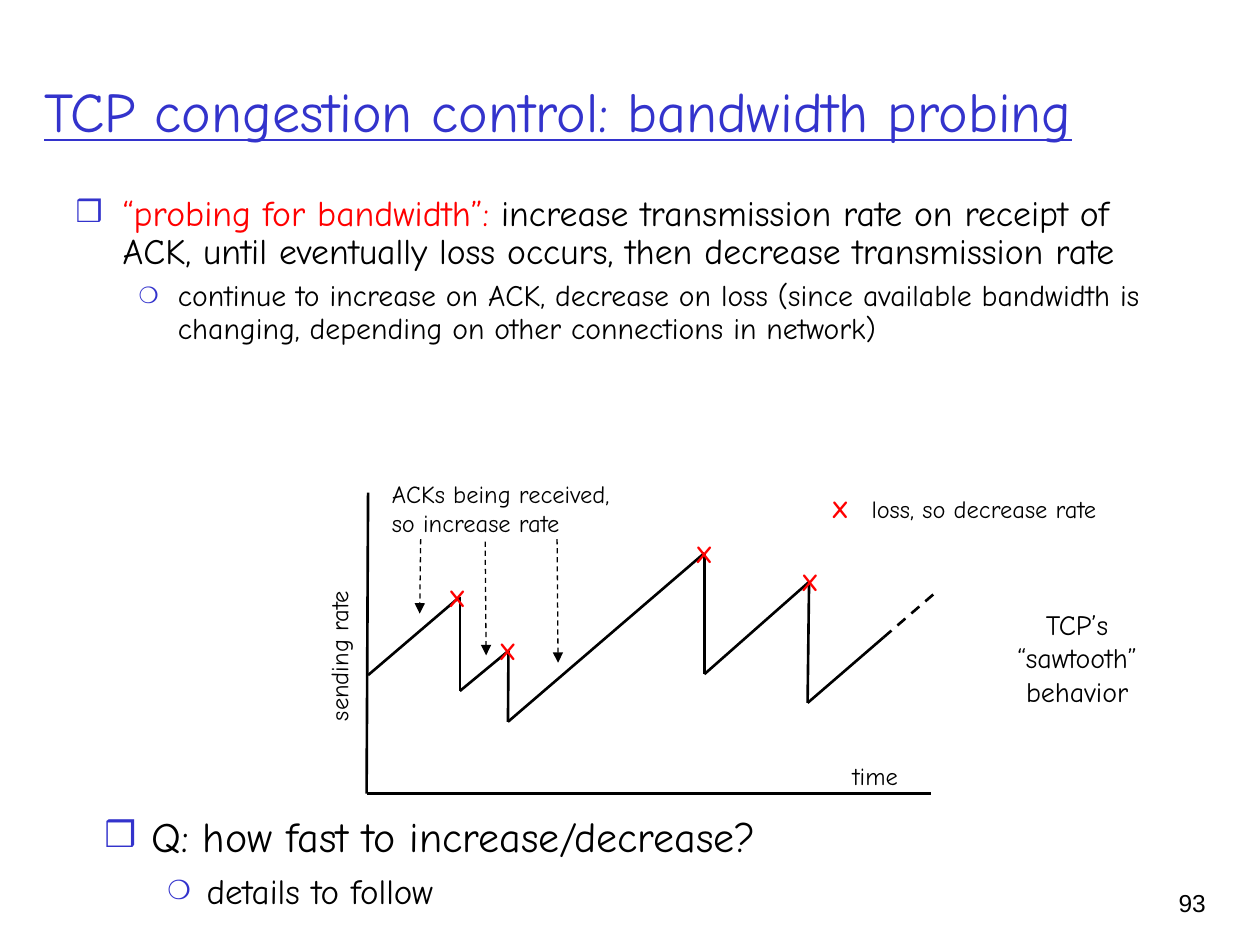
"""Build the slide on TCP bandwidth probing with its sawtooth diagram."""
from dataclasses import dataclass
from itertools import pairwise

from lxml import etree
from pptx import Presentation
from pptx import util as u
from pptx.dml.color import RGBColor
from pptx.enum import dml, shapes, text
from pptx.oxml import ns

COLORS = {"blue": "3333CC", "red": "FF0000", "black": "000000"}
FONT = "Comic Neue"
Point = tuple[float, float]


@dataclass(frozen=True)
class Span:
    words: str
    color: str = "black"


@dataclass(frozen=True)
class Level:
    bullet: str
    percent: int
    margin: float
    hanging: float
    space_before: float


@dataclass(frozen=True)
class Item:
    level: int
    size: float
    spans: tuple[Span, ...]


@dataclass(frozen=True)
class Label:
    lines: tuple[str, ...]
    left: float
    top: float
    width: float
    height: float
    size: float = 14
    color: str = "black"
    bold: bool = False
    align: text.PP_ALIGN = text.PP_ALIGN.LEFT
    rotation: float = 0
    font: str = FONT


LEVELS = (Level("❒", 85, 0.95, 0.95, 6), Level("❍", 75, 2.06, 0.79, 5))

PROBING = (
    Item(0, 20.4, (
        Span("“probing for bandwidth”: ", "red"),
        Span("increase transmission rate on receipt of ACK, until eventually "
             "loss occurs, then decrease transmission rate"),
    )),
    Item(1, 17, (
        Span("continue to increase on ACK, decrease on loss (since available "
             "bandwidth is changing, depending on other connections in network)"),
    )),
)
QUESTION = (
    Item(0, 24, (Span("Q: how fast to increase/decrease?"),)),
    Item(1, 20, (Span("details to follow"),)),
)

AXES = ((7.42, 9.93), (7.39, 16), (18.77, 16))
SAWTOOTH = (
    (7.42, 13.61), (9.27, 12.03), (9.27, 13.93), (10.25, 13.12), (10.24, 14.55),
    (14.2, 11.15), (14.2, 13.59), (16.31, 11.73), (16.28, 14.17), (17.81, 12.85),
)
FUTURE = (SAWTOOTH[-1], (18.9, 11.91))
ACK_ARROWS = (
    ((8.48, 10.87), (8.46, 12.37)),
    ((9.78, 10.92), (9.8, 13.21)),
    ((11.23, 10.87), (11.25, 13.36)),
)
LOSSES = ((9.22, 12.06), (10.24, 13.13), (14.2, 11.18), (16.33, 11.73), (16.94, 10.26))
MARK = 0.86

LABELS = (
    Label(("ACKs being received,", "so increase rate"), 7.65, 9.53, 5.08, 1.45),
    Label(("loss, so decrease rate",), 17.32, 9.83, 5.08, MARK),
    Label(("sending rate",), 5.26, 12.78, 3.15, MARK, rotation=270),
    Label(("time",), 16.94, 15.21, 1.42, MARK),
    Label(("TCP’s", "“sawtooth”", "behavior"), 20.24, 12.12, 2.95, 2.29,
          size=16, align=text.PP_ALIGN.CENTER),
    Label(("93",), 22.68, 17.78, 1.88, 1.27, align=text.PP_ALIGN.RIGHT, font="Arial"),
)


def add_span(para, words: str, size: float, color: str, font: str = FONT):
    """Append one formatted run to a paragraph."""
    span = para.add_run()
    span.text = words
    span.font.size = u.Pt(size)
    span.font.name = font
    span.font.color.rgb = RGBColor.from_string(COLORS[color])
    return span


def place(box, left: float, top: float, width: float, height: float) -> None:
    """Move and size a shape, in centimetres."""
    box.left, box.top = u.Cm(left), u.Cm(top)
    box.width, box.height = u.Cm(width), u.Cm(height)


def next_paragraph(frame, index: int):
    """Return the first paragraph, or a new one after it."""
    return frame.add_paragraph() if index else frame.paragraphs[0]


def set_bullet(para, level: Level) -> None:
    """Give a paragraph its bullet and hanging indent."""
    properties = para._p.get_or_add_pPr()
    properties.set("marL", str(u.Cm(level.margin)))
    properties.set("indent", str(-u.Cm(level.hanging)))
    color = etree.SubElement(properties, ns.qn("a:buClr"))
    etree.SubElement(color, ns.qn("a:srgbClr"), val=COLORS["blue"])
    etree.SubElement(properties, ns.qn("a:buSzPct"), val=str(level.percent * 1000))
    etree.SubElement(properties, ns.qn("a:buChar"), char=level.bullet)


def fill_list(box, items: tuple[Item, ...], line_spacing: float) -> None:
    """Write bulleted items into a body placeholder."""
    frame = box.text_frame
    frame.auto_size = text.MSO_AUTO_SIZE.NONE
    frame.vertical_anchor = text.MSO_ANCHOR.TOP
    for index, item in enumerate(items):
        level = LEVELS[item.level]
        para = next_paragraph(frame, index)
        para.level = item.level
        set_bullet(para, level)
        para.line_spacing = line_spacing
        para.space_before = u.Pt(level.space_before if index else 0)
        for span in item.spans:
            add_span(para, span.words, item.size, span.color)


def add_label(page, label: Label) -> None:
    """Add a text box that does not wrap."""
    box = page.shapes.add_textbox(0, 0, 0, 0)
    place(box, label.left, label.top, label.width, label.height)
    box.rotation = label.rotation
    box.text_frame.word_wrap = False
    for index, line in enumerate(label.lines):
        para = next_paragraph(box.text_frame, index)
        para.alignment = label.align
        span = add_span(para, line, label.size, label.color, label.font)
        span.font.bold = label.bold


def add_line(page, start: Point, end: Point, width: float = 1.5,
             dashed: bool = False, arrow: bool = False) -> None:
    """Draw a straight black line, optionally dashed or with an arrowhead."""
    line = page.shapes.add_connector(
        shapes.MSO_CONNECTOR.STRAIGHT, *(u.Cm(value) for value in start + end))
    line.line.width = u.Pt(width)
    line.line.color.rgb = RGBColor.from_string(COLORS["black"])
    if dashed:
        line.line.dash_style = dml.MSO_LINE.DASH
    if arrow:
        etree.SubElement(line.line._get_or_add_ln(), ns.qn("a:tailEnd"), type="triangle")
    etree.SubElement(line._element.spPr, ns.qn("a:effectLst"))


def main() -> None:
    """Assemble and save the deck."""
    deck = Presentation()
    deck.slide_width, deck.slide_height = u.Cm(25.4), u.Cm(19.05)
    page = deck.slides.add_slide(deck.slide_layouts.get_by_name("Two Content"))

    title = page.shapes.title
    place(title, 0.64, 0.64, 23.5, 3.18)
    title.text_frame.auto_size = text.MSO_AUTO_SIZE.NONE
    title.text_frame.vertical_anchor = text.MSO_ANCHOR.MIDDLE
    heading = title.text_frame.paragraphs[0]
    heading.alignment = text.PP_ALIGN.LEFT
    add_span(heading, "TCP congestion control: bandwidth probing", 32, "blue").font.underline = True

    probing, question = page.placeholders[1], page.placeholders[2]
    place(probing, 1.27, 3.81, 22.86, 4.01)
    fill_list(probing, PROBING, 0.9)
    place(question, 1.85, 16.21, 22.86, 2.39)
    fill_list(question, QUESTION, 1)

    for path_points in (AXES, SAWTOOTH):
        for start, end in pairwise(path_points):
            add_line(page, start, end)
    add_line(page, *FUTURE, dashed=True)
    for start, end in ACK_ARROWS:
        add_line(page, start, end, width=0.75, dashed=True, arrow=True)

    marks = tuple(
        Label(("X",), x - MARK / 2, y - MARK / 2, MARK, MARK, color="red",
              bold=True, align=text.PP_ALIGN.CENTER)
        for x, y in LOSSES)
    for label in marks + LABELS:
        add_label(page, label)

    deck.save("out.pptx")


if __name__ == "__main__":
    main()
